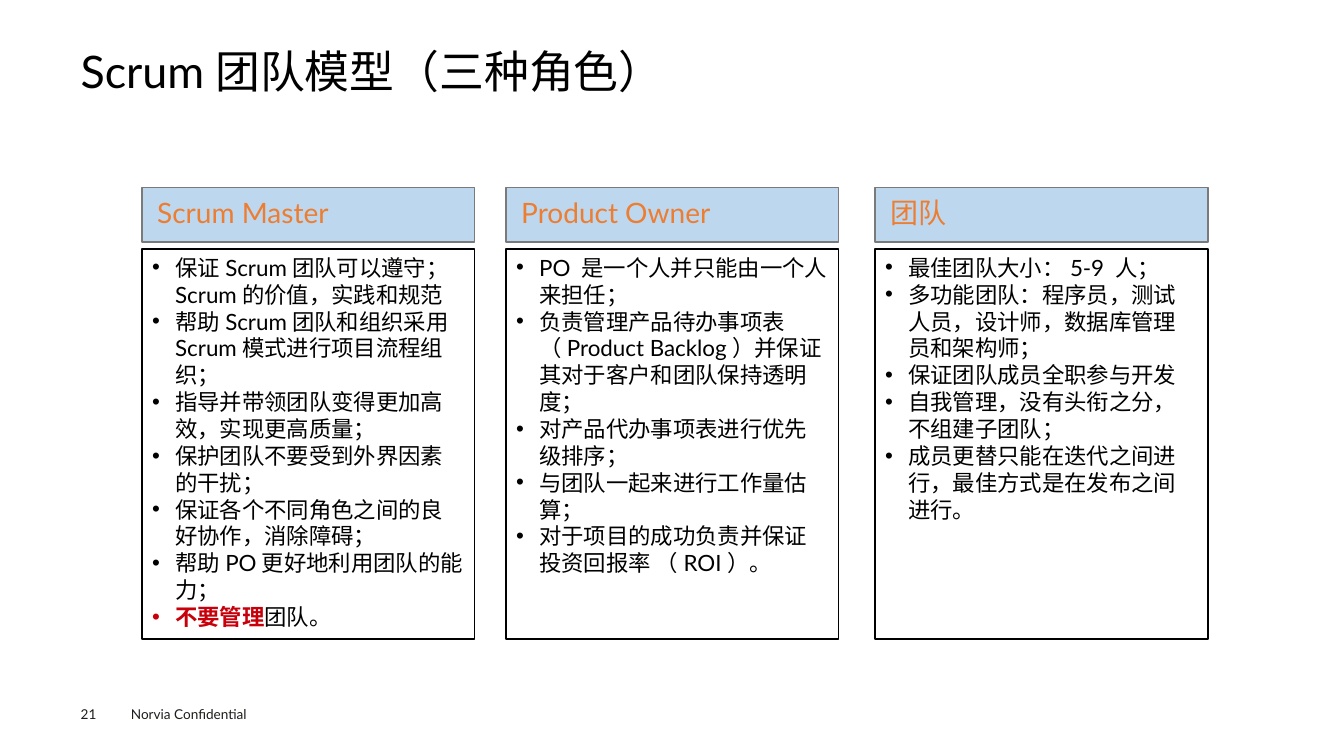
from lxml import etree
from pptx import Presentation, util as u
from pptx.dml.color import RGBColor
from pptx.enum import shapes, text
from pptx.oxml.ns import qn

CELL = u.Inches(0.1)
LEFTS = (14.1, 50.2, 86.8)
WIDE = 33
HEAD = {"size": 20, "color": "ED7D31"}
BODY = {"size": 16, "color": "000000"}
FOOT = {"size": 9.7, "color": "1D1D1B"}
TITLE = {"size": 32, "color": "000000"}
ALERT = {"size": 16, "color": "C7000B", "bold": True}

ROLES = [
    ("Scrum Master", [
        "保证Scrum团队可以遵守；Scrum的价值，实践和规范",
        "帮助Scrum团队和组织采用Scrum模式进行项目流程组织；",
        "指导并带领团队变得更加高效，实现更高质量；",
        "保护团队不要受到外界因素的干扰；",
        "保证各个不同角色之间的良好协作，消除障碍；",
        "帮助PO更好地利用团队的能力；",
        [("不要管理", ALERT), ("团队。", BODY)],
    ]),
    ("Product Owner", [
        "PO 是一个人并只能由一个人来担任；",
        "负责管理产品待办事项表（Product Backlog）并保证其对于客户和团队保持透明度；",
        "对产品代办事项表进行优先级排序；",
        "与团队一起来进行工作量估算；",
        "对于项目的成功负责并保证投资回报率 （ROI）。",
    ]),
    ("团队", [
        "最佳团队大小：5-9 人；",
        "多功能团队：程序员，测试人员，设计师，数据库管理员和架构师；",
        "保证团队成员全职参与开发",
        "自我管理，没有头衔之分，不组建子团队；",
        "成员更替只能在迭代之间进行，最佳方式是在发布之间进行。",
    ]),
]


def paint(code):
    return RGBColor.from_string(code)


def place(box):
    return [round(n * CELL) for n in box]


def style(run, look):
    run.font.name = "Lato"
    run.font.size = u.Pt(look["size"])
    run.font.color.rgb = paint(look["color"])
    run.font.bold = look.get("bold", False)


def dot(para):
    props = para._p.get_or_add_pPr()
    props.set("marL", str(u.Inches(0.23)))
    props.set("indent", str(-u.Inches(0.23)))
    etree.SubElement(props, qn("a:buFont")).set("typeface", "Arial")
    etree.SubElement(props, qn("a:buChar")).set("char", "•")


def write(frame, lines, look, pads=(0.1, 0.05), mid=False, space=None, dots=False):
    side, edge = map(u.Inches, pads)
    anchor = text.MSO_ANCHOR.MIDDLE if mid else text.MSO_ANCHOR.TOP
    form = {"word_wrap": True, "vertical_anchor": anchor,
            "margin_left": side, "margin_right": side,
            "margin_top": edge, "margin_bottom": edge}
    for key, val in form.items():
        setattr(frame, key, val)
    for i, line in enumerate(lines):
        para = frame.add_paragraph() if i else frame.paragraphs[0]
        if dots:
            dot(para)
        para.alignment = text.PP_ALIGN.LEFT
        if space:
            para.line_spacing = space
        for words, kind in [(line, look)] if isinstance(line, str) else line:
            run = para.add_run()
            run.text = words
            style(run, kind)


def label(slide, box, words, look, **form):
    shape = slide.shapes.add_textbox(*place(box))
    write(shape.text_frame, [words], look, **form)


def panel(slide, box, fill, line):
    shape = slide.shapes.add_shape(shapes.MSO_SHAPE.RECTANGLE, *place(box))
    shape.shadow.inherit = False
    shape.fill.solid()
    shape.fill.fore_color.rgb = paint(fill)
    shape.line.color.rgb = paint(line)
    shape.line.width = u.Pt(1)
    return shape.text_frame


def role(slide, box, name, duties):
    left, top, wide, high = box
    head = panel(slide, (left, top, wide, 5.4), "BDD7EE", "7A7A7A")
    write(head, [name], HEAD, pads=(0.15, 0.12), mid=True, space=0.9)
    body = panel(slide, (left, top + 6.1, wide, high - 6.1), "FFFFFF", "000000")
    write(body, duties, BODY, dots=True)


def footer(slide, box):
    left, top, wide, high = box
    label(slide, (left, top + 0.5, 5.5, 1.6), "21", FOOT, pads=(0, 0))
    label(slide, (left + 4, top, wide - 4, high), "Norvia Confidential", FOOT)


def main():
    deck = Presentation()
    deck.slide_width, deck.slide_height = u.Inches(13.33), u.Inches(7.5)
    slide = deck.slides.add_slide(deck.slide_layouts[6])
    label(slide, (8, 4.9, 117.3, 5.4), "Scrum团队模型（三种角色）", TITLE,
          pads=(0, 0), space=0.9)
    for left, (name, duties) in zip(LEFTS, ROLES):
        role(slide, (left, 18.6, WIDE, 44.8), name, duties)
    footer(slide, (8, 69.5, 20, 2.7))
    deck.save("out.pptx")


if __name__ == "__main__":
    main()
